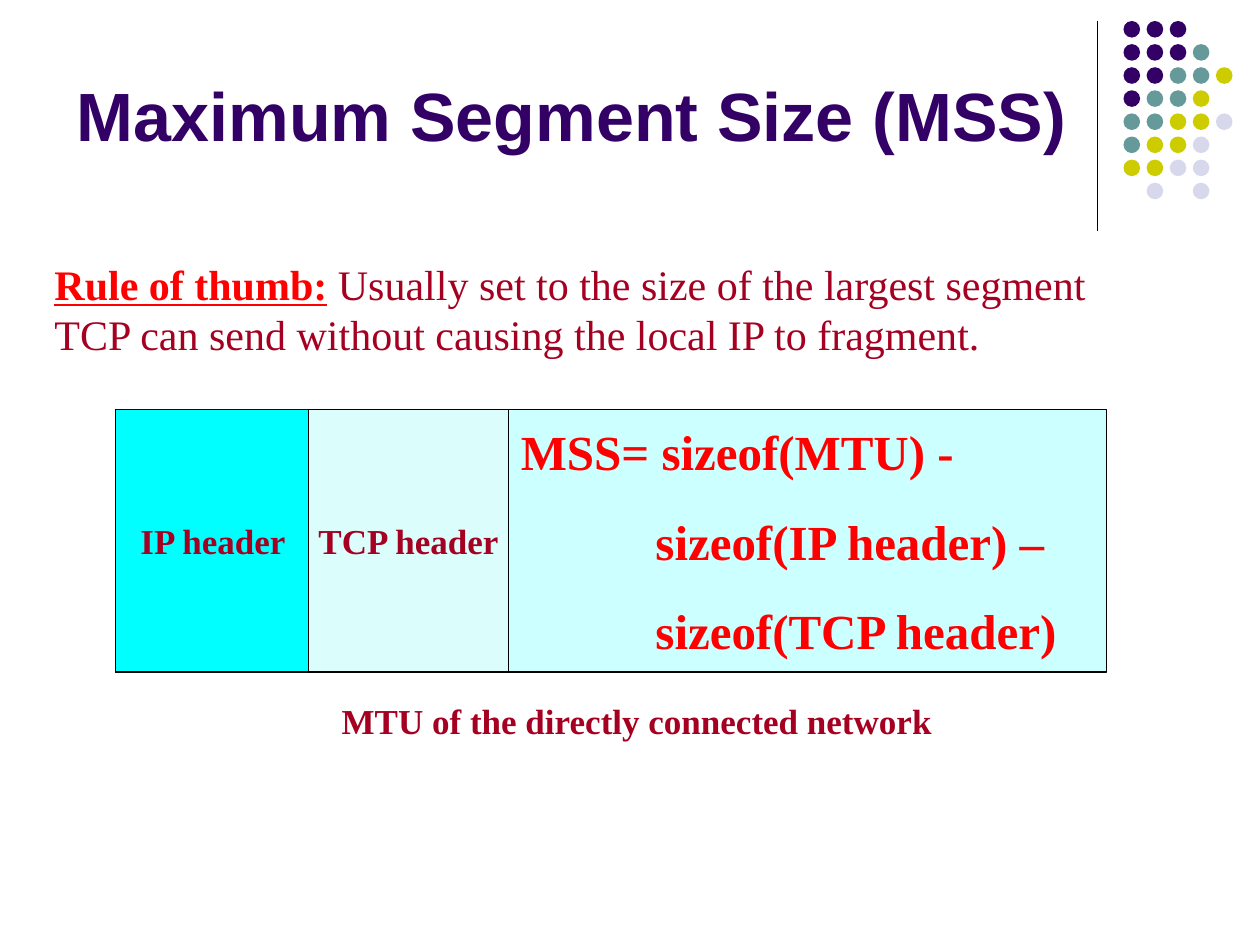
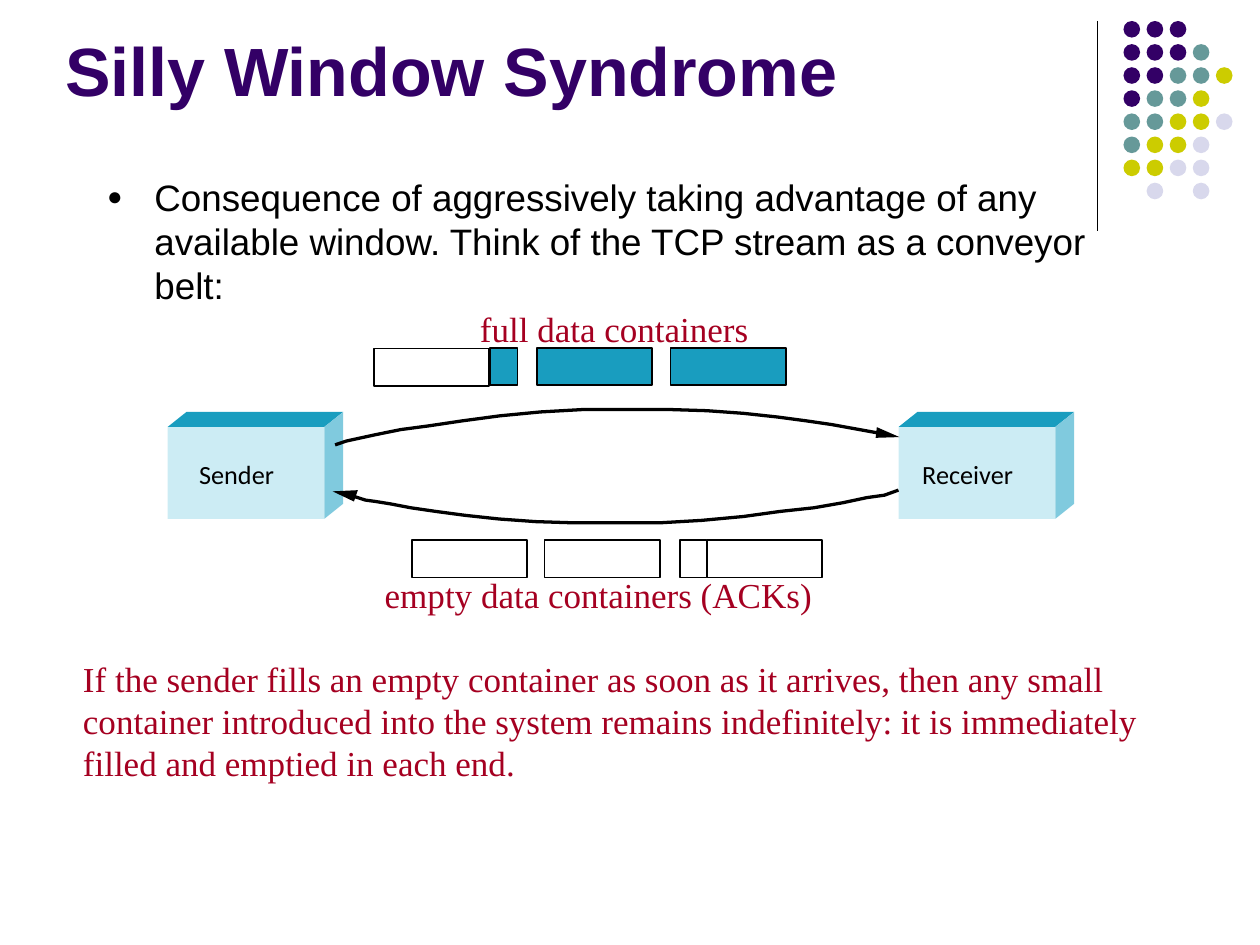
"""Build two TCP slides: maximum segment size and silly window syndrome."""
from dataclasses import dataclass

from lxml import etree
from pptx import Presentation
from pptx.dml.color import RGBColor
from pptx.enum.shapes import MSO_CONNECTOR, MSO_SHAPE
from pptx.enum.text import MSO_ANCHOR, MSO_AUTO_SIZE, PP_ALIGN
from pptx.oxml.ns import qn
from pptx.util import Pt

LEFT, CENTER = PP_ALIGN.LEFT, PP_ALIGN.CENTER
TOP, MIDDLE, BOTTOM = MSO_ANCHOR.TOP, MSO_ANCHOR.MIDDLE, MSO_ANCHOR.BOTTOM
RECTANGLE, OVAL = MSO_SHAPE.RECTANGLE, MSO_SHAPE.OVAL
STRAIGHT = MSO_CONNECTOR.STRAIGHT
NO_AUTOFIT = MSO_AUTO_SIZE.NONE


@dataclass(frozen=True)
class Theme:
    purple: str = "330066"
    teal: str = "669999"
    olive: str = "CCCC00"
    lilac: str = "D8D8EC"
    black: str = "000000"
    white: str = "FFFFFF"
    red: str = "FF0000"
    crimson: str = "A50021"
    cyan: str = "00FFFF"
    mint: str = "DBFDFB"
    ice: str = "CCFFFF"
    box_front: str = "CCECF4"
    box_top: str = "199DBF"
    box_side: str = "80CADE"
    sans: str = "Arial"
    serif: str = "Times New Roman"
    label_font: str = "Calibri"
    title_size: float = 39
    formula_size: float = 28
    rule_size: float = 24
    body_size: float = 21
    text_size: float = 20
    label_size: float = 15


THEME = Theme()


def paint(shape, fill=None, line=None, width=0.75):
    shape.shadow.inherit = False
    if fill:
        shape.fill.solid()
        shape.fill.fore_color.rgb = RGBColor.from_string(fill)
    else:
        shape.fill.background()
    if line:
        shape.line.color.rgb = RGBColor.from_string(line)
        shape.line.width = Pt(width)
    else:
        shape.line.fill.background()


def write(box, text, size, color, font=THEME.serif, bold=False, align=LEFT,
          anchor=TOP, wrap=True, inset=(7.2, 3.6), gap=0):
    frame = box.text_frame
    frame.text = text
    frame.word_wrap = wrap
    frame.auto_size = NO_AUTOFIT
    frame.vertical_anchor = anchor
    frame.margin_left = frame.margin_right = Pt(inset[0])
    frame.margin_top = frame.margin_bottom = Pt(inset[1])
    for index, para in enumerate(frame.paragraphs):
        para.alignment = align
        para.space_before = Pt(gap if index else 0)
        for span in para.runs:
            span.font.name = font
            span.font.size = Pt(size)
            span.font.bold = bold
            span.font.color.rgb = RGBColor.from_string(color)


deck = Presentation()
deck.slide_width, deck.slide_height = Pt(720), Pt(540)
mss_page = deck.slides.add_slide(deck.slide_layouts[5])
silly_page = deck.slides.add_slide(deck.slide_layouts[1])

# The corner ornament is assembled once and moved to the slide master.
ornament = mss_page.shapes.add_group_shape()
divider = ornament.shapes.add_connector(STRAIGHT, Pt(627), Pt(12), Pt(627), Pt(132))
divider.line.color.rgb = RGBColor.from_string(THEME.black)
divider.line.width = Pt(0.75)
etree.SubElement(divider.element.spPr, qn("a:effectLst"))
dot_colors = {"P": THEME.purple, "T": THEME.teal, "O": THEME.olive, "L": THEME.lilac}
dot_rows = ("PPP", "PPPT", "PPTTO", "PTTO", "TTOOL", "TOOL", "OOLL", ".L.L")
for row, letters in enumerate(dot_rows):
    for column, letter in enumerate(letters):
        if letter in dot_colors:
            dot = ornament.shapes.add_shape(
                OVAL, Pt(642 + 13.2 * column), Pt(12 + 13.2 * row), Pt(9.5), Pt(9.5))
            paint(dot, dot_colors[letter])
master = deck.slide_master
master.shapes.element.insert(2, ornament.element)
for number, node in enumerate(master.element.iter(qn("p:cNvPr")), 1):
    node.set("id", str(number))

for page, heading, left, top in (
        (mss_page, "Maximum Segment Size (MSS)", 36.7, 55.4),
        (silly_page, "Silly Window Syndrome", 30, 30)):
    title = page.shapes.title
    title.left, title.top, title.width, title.height = Pt(left), Pt(top), Pt(612), Pt(36.7)
    write(title, heading, THEME.title_size, THEME.purple, THEME.sans, True, anchor=BOTTOM)

rule = mss_page.shapes.add_textbox(Pt(24), Pt(144), Pt(630), Pt(65))
write(rule, "Rule of thumb:", THEME.rule_size, THEME.red, bold=True)
rule_para = rule.text_frame.paragraphs[0]
rule_para.runs[0].font.underline = True
span = rule_para.add_run()
span.text = (" Usually set to the size of the largest segment TCP can send"
             " without causing the local IP to fragment.")
span.font.name = THEME.serif
span.font.size = Pt(THEME.rule_size)
span.font.color.rgb = RGBColor.from_string(THEME.crimson)

packet = mss_page.shapes.add_shape(RECTANGLE, Pt(66), Pt(234), Pt(564), Pt(150))
paint(packet, line=THEME.black)
caption = mss_page.shapes.add_textbox(Pt(188), Pt(396), Pt(352), Pt(32))
write(caption, "MTU of the directly connected network", THEME.text_size, THEME.crimson,
      bold=True, align=CENTER, wrap=False)

formula = "MSS= sizeof(MTU) -\nsizeof(IP header) –\nsizeof(TCP header)"
for text, left, width, fill, size, color, align in (
        ("IP header", 66, 111.5, THEME.cyan, THEME.text_size, THEME.crimson, CENTER),
        ("TCP header", 176.5, 114, THEME.mint, THEME.text_size, THEME.crimson, CENTER),
        (formula, 290.5, 342, THEME.ice, THEME.formula_size, THEME.red, LEFT)):
    field = mss_page.shapes.add_shape(RECTANGLE, Pt(left), Pt(234), Pt(width), Pt(150))
    paint(field, fill, THEME.black)
    write(field, text, size, color, bold=True, align=align, anchor=MIDDLE,
          wrap=False, gap=17.5)
    for para in field.text_frame.paragraphs[1:]:
        para._p.get_or_add_pPr().set("marL", str(Pt(77)))

body = silly_page.placeholders[1]
body.left, body.top, body.width, body.height = Pt(54), Pt(96), Pt(612), Pt(96)
write(body, "Consequence of aggressively taking advantage of any available window. "
      "Think of the TCP stream as a conveyor belt:",
      THEME.body_size, THEME.black, THEME.sans)
properties = body.text_frame.paragraphs[0]._p.get_or_add_pPr()
properties.set("marL", str(Pt(27)))
properties.set("indent", str(Pt(-27)))
bullet_color = etree.SubElement(properties, qn("a:buClr"))
etree.SubElement(bullet_color, qn("a:srgbClr")).set("val", THEME.black)
etree.SubElement(properties, qn("a:buSzPct")).set("val", "70000")
etree.SubElement(properties, qn("a:buChar")).set("char", "●")

outlines = []
for name, left, label_left, label_width in (
        ("Sender", 95.8, 113.8, 50), ("Receiver", 513.5, 527, 60)):
    right, top, bottom = left + 89.5, 244, 296.5
    back, rise = 10.8, 8.6
    front = silly_page.shapes.add_shape(
        RECTANGLE, Pt(left), Pt(top), Pt(right - left), Pt(bottom - top))
    paint(front, THEME.box_front)
    label = silly_page.shapes.add_textbox(Pt(label_left), Pt(262), Pt(label_width), Pt(18))
    write(label, name, THEME.label_size, THEME.black, THEME.label_font,
          wrap=False, inset=(0, 0))
    lid = [(left, top), (right, top), (right + back, top - rise), (left + back, top - rise)]
    side = [(right + back, top - rise), (right, top), (right, bottom),
            (right + back, bottom - rise)]
    outlines += [(lid, THEME.box_top, None), (side, THEME.box_side, None)]

data_curve = [(191.5, 254.2), (198, 252), (214.6, 248.4), (229, 245.5), (244.8, 243.4),
              (264.2, 240.5), (285.8, 237.6), (308.9, 235.4), (333.4, 234), (382.3, 234),
              (403.9, 234.7), (424.8, 236.2), (444.2, 238.3), (460.8, 240.5),
              (475.2, 242.6), (487.4, 244.8), (503.3, 247.7)]
ack_curve = [(513.4, 280.1), (505.4, 283), (495.4, 284.4), (481.7, 287.3), (465.1, 290.2),
             (445.7, 292.3), (424.8, 295.2), (401, 297.4), (376.6, 298.8), (328.3, 298.8),
             (306, 298.1), (285.1, 296.6), (265.7, 294.5), (249.1, 292.3), (234.7, 290.2),
             (223.2, 288), (214.6, 286.6), (208.8, 285.8), (202.3, 283.7)]
data_head = [(500.4, 250.2), (514, 249.8), (501.1, 244.1)]
ack_head = [(204.5, 280.1), (190.1, 280.8), (202.3, 286.6)]
outlines += [(data_curve, None, THEME.black), (ack_curve, None, THEME.black),
             (data_head, THEME.black, None), (ack_head, THEME.black, None)]
for points, fill, line in outlines:
    corners = [(Pt(x), Pt(y)) for x, y in points]
    builder = silly_page.shapes.build_freeform(*corners[0])
    builder.add_line_segments(corners[1:], close=fill is not None)
    paint(builder.convert_to_shape(), fill, line, 1.87)

for left, top, width, fill in (
        (280, 198.8, 15.8, THEME.box_top), (306.7, 198.8, 65.8, THEME.box_top),
        (383.2, 198.8, 66.2, THEME.box_top), (213.8, 199.2, 65.8, THEME.white),
        (235.4, 308.7, 65.8, THEME.white), (311.2, 308.7, 65.8, THEME.white),
        (388.6, 308.7, 15.2, None), (403.8, 308.7, 65.8, THEME.white)):
    container = silly_page.shapes.add_shape(RECTANGLE, Pt(left), Pt(top), Pt(width), Pt(21.4))
    paint(container, fill, THEME.black, 1)

conclusion = ("If the sender fills an empty container as soon as it arrives, then any small "
              "container introduced into the system remains indefinitely: it is immediately "
              "filled and emptied in each end.")
for text, left, top, width, height, align in (
        ("full data containers", 252, 172, 198, 32, CENTER),
        ("empty data containers (ACKs)", 198, 324, 288, 32, CENTER),
        (conclusion, 40.3, 372, 636, 79, LEFT)):
    note = silly_page.shapes.add_textbox(Pt(left), Pt(top), Pt(width), Pt(height))
    write(note, text, THEME.text_size, THEME.crimson, align=align)

deck.save("out.pptx")
